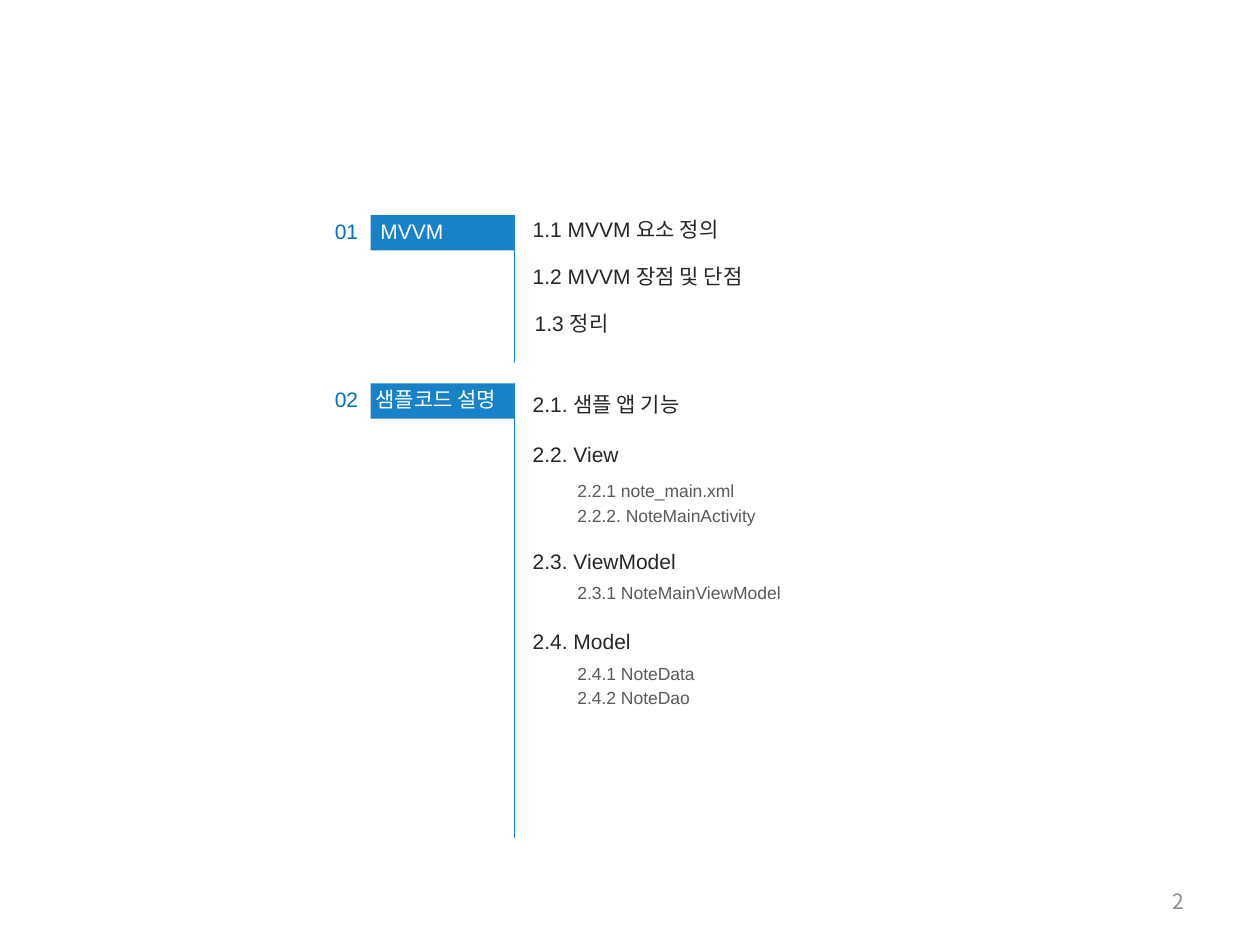
import pptx
import pptx.dml.color
import pptx.enum.shapes
import pptx.enum.text
import pptx.oxml
import pptx.oxml.ns
import pptx.util

Cm, Pt = pptx.util.Cm, pptx.util.Pt
RGBColor = pptx.dml.color.RGBColor
ANCHOR = pptx.enum.text.MSO_ANCHOR
ALIGN = pptx.enum.text.PP_ALIGN

BLUE = RGBColor(0x17, 0x82, 0xC8)
NUMBER_BLUE = RGBColor(0x00, 0x70, 0xC0)
WHITE = RGBColor(0xFF, 0xFF, 0xFF)
DARK = RGBColor(0x26, 0x26, 0x26)
GREY = RGBColor(0x59, 0x59, 0x59)
PAGE_GREY = RGBColor(0x8C, 0x8C, 0x8C)
KOREAN = "Noto Sans CJK KR"

deck = pptx.Presentation()
deck.slide_width, deck.slide_height = Cm(25.4), Cm(19.05)
slide = deck.slides.add_slide(deck.slide_layouts[6])


def add_text(text, left, top, width, height, size, color, inset=0, font="Arial"):
    box = slide.shapes.add_textbox(Cm(left), Cm(top), Cm(width), Cm(height))
    frame = box.text_frame
    frame.text = text
    frame.margin_left = frame.margin_right = Cm(inset)
    frame.margin_top = frame.margin_bottom = Cm(inset)
    for paragraph in frame.paragraphs:
        for run in paragraph.runs:
            run.font.name = font
            run.font.size = Pt(size)
            run.font.color.rgb = color
            east_asian = pptx.oxml.parse_xml(
                f'<a:ea {pptx.oxml.ns.nsdecls("a")} typeface="{KOREAN}"/>')
            run.font._element.find(pptx.oxml.ns.qn("a:latin")).addnext(east_asian)
    return frame


def add_entry(text, left, top, width, height, size, color):
    frame = add_text(text, left, top, width, height, size, color, inset=0.13)
    frame.word_wrap = True
    for paragraph in frame.paragraphs:
        paragraph.space_before = Pt(size * 0.2)
        properties = paragraph._p.get_or_add_pPr()
        properties.set("marL", str(Cm(0.64)))
        properties.set("indent", str(-Cm(0.64)))


# Chapters: number, title, title left, title width, top, bottom of the rule
chapters = [
    ("01", "MVVM", 7.67, 1.32, 4.34, 7.32),
    ("02", "샘플코드 설명", 7.57, 2.72, 7.73, 16.89),
]
for number, title, title_left, title_width, top, bottom in chapters:
    banner = slide.shapes.add_shape(
        pptx.enum.shapes.MSO_SHAPE.RECTANGLE, Cm(7.47), Cm(top), Cm(2.9), Cm(0.71))
    banner.shadow.inherit = False
    banner.fill.solid()
    banner.fill.fore_color.rgb = BLUE
    banner.line.fill.background()

    for text, left, width, color in [(title, title_left, title_width, WHITE),
                                     (number, 6.75, 0.48, NUMBER_BLUE)]:
        label = add_text(text, left, top + 0.12, width, 0.46, 12, color)
        label.word_wrap = False
        label.vertical_anchor = ANCHOR.MIDDLE
        label.paragraphs[0].line_spacing = 0.9

    rule = slide.shapes.add_connector(
        pptx.enum.shapes.MSO_CONNECTOR.STRAIGHT, Cm(10.37), Cm(top), Cm(10.37), Cm(bottom))
    rule.line.color.rgb = BLUE
    rule.line.width = Pt(0.25)
    rule._element.spPr.append(
        pptx.oxml.parse_xml(f'<a:effectLst {pptx.oxml.ns.nsdecls("a")}/>'))

# Sections
sections = [
    ("1.1 MVVM 요소 정의", 10.61, 4.24),
    ("1.2 MVVM 장점 및 단점", 10.61, 5.18),
    ("1.3 정리", 10.65, 6.13),
    ("2.1. 샘플 앱 기능", 10.61, 7.77),
    ("2.2. View", 10.61, 8.77),
    ("2.3. ViewModel", 10.61, 10.92),
    ("2.4. Model", 10.61, 12.55),
]
for text, left, top in sections:
    add_entry(text, left, top, 5.66, 0.76, 12, DARK)

# Subsections
subsections = [
    ("2.2.1 note_main.xml\n2.2.2. NoteMainActivity", 9.55, 1.19),
    ("2.3.1 NoteMainViewModel", 11.61, 0.69),
    ("2.4.1 NoteData\n2.4.2 NoteDao", 13.23, 1.19),
]
for text, top, height in subsections:
    add_entry(text, 11.51, top, 6.27, height, 10, GREY)

# Page number
page = add_text("2", 18.21, 17.65, 5.92, 1.02, 12, PAGE_GREY, inset=0.25, font=KOREAN)
page.word_wrap = True
page.vertical_anchor = ANCHOR.MIDDLE
page.paragraphs[0].alignment = ALIGN.RIGHT

deck.save("out.pptx")
